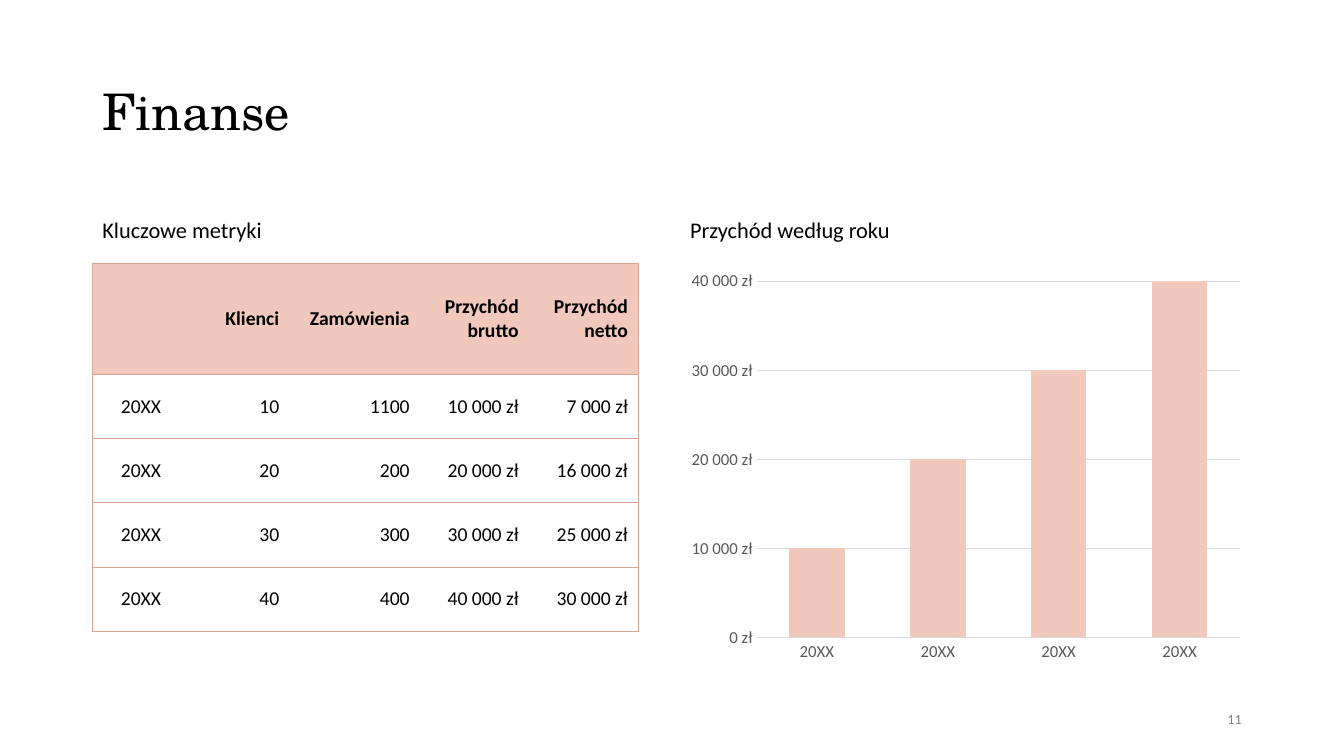
from dataclasses import dataclass

from lxml import etree
from pptx import Presentation
from pptx.chart.data import CategoryChartData
from pptx.dml.color import RGBColor
from pptx.enum.chart import XL_CHART_TYPE, XL_TICK_MARK
from pptx.enum.text import MSO_ANCHOR, PP_ALIGN
from pptx.oxml.ns import qn
from pptx.util import Cm, Pt

COLUMN = XL_CHART_TYPE.COLUMN_CLUSTERED
NO_TICK = XL_TICK_MARK.NONE
MIDDLE = MSO_ANCHOR.MIDDLE
LEFT, CENTER, RIGHT = PP_ALIGN.LEFT, PP_ALIGN.CENTER, PP_ALIGN.RIGHT
PLAIN_TABLE = "{2D5ABB26-0587-4C30-8999-92F81FD0307C}"


@dataclass(frozen=True)
class Theme:
    text: str = "000000"
    axis: str = "595959"
    muted: str = "808080"
    grid: str = "D9D9D9"
    accent: str = "F0C8BC"
    border: str = "D9A491"
    heading_font: str = "TeX Gyre Schola"
    body_font: str = "Calibri"
    title_size: int = 36
    subtitle_size: int = 16
    table_size: int = 14
    axis_size: int = 12
    number_size: int = 10
    border_width: float = 0.5
    grid_width: float = 0.75


THEME = Theme()
HEADERS = ["", "Klienci", "Zamówienia", "Przychód brutto", "Przychód netto"]
METRICS = [
    ("20XX", 10, 1100, 10000, 7000),
    ("20XX", 20, 200, 20000, 16000),
    ("20XX", 30, 300, 30000, 25000),
    ("20XX", 40, 400, 40000, 30000),
]


def rgb(value):
    return RGBColor.from_string(value)


def zloty(amount):
    return f"{amount:,} zł".replace(",", " ")


def style_font(font, size, color, name=THEME.body_font, bold=False):
    font.name = name
    font.size = Pt(size)
    font.bold = bold
    font.color.rgb = rgb(color)


def add_text(slide, box, text, size, color=THEME.text,
             name=THEME.body_font, align=LEFT):
    tf = slide.shapes.add_textbox(*map(Cm, box)).text_frame
    tf.word_wrap = True
    tf.vertical_anchor = MIDDLE
    p = tf.paragraphs[0]
    p.alignment = align
    p.line_spacing = 0.9
    r = p.add_run()
    r.text = text
    style_font(r.font, size, color, name)


def set_borders(cell, visible):
    tc_pr = cell._tc.get_or_add_tcPr()
    for i, side in enumerate("LRTB"):
        ln = etree.Element(qn(f"a:ln{side}"), w=str(Pt(THEME.border_width)))
        if side in visible:
            fill = etree.SubElement(ln, qn("a:solidFill"))
            etree.SubElement(fill, qn("a:srgbClr"), val=THEME.border)
        else:
            etree.SubElement(ln, qn("a:noFill"))
        tc_pr.insert(i, ln)


def fill_cell(cell, text, header, first, last):
    if header:
        cell.fill.solid()
        cell.fill.fore_color.rgb = rgb(THEME.accent)
    else:
        cell.fill.background()
    set_borders(cell, "TB" + "L" * first + "R" * last)
    cell.vertical_anchor = MIDDLE
    p = cell.text_frame.paragraphs[0]
    p.alignment = CENTER if first else RIGHT
    if text:
        r = p.add_run()
        r.text = text
        style_font(r.font, THEME.table_size, THEME.text, bold=header)
    else:
        style_font(p.font, THEME.table_size, THEME.text)


def add_metrics_table(slide, box):
    rows = [HEADERS] + [
        [year, str(clients), str(orders), zloty(gross), zloty(net)]
        for year, clients, orders, gross, net in METRICS
    ]
    width, height = box[2:]
    header_height = 2.8
    row_height = (height - header_height) / len(METRICS)
    shares = [0.178, 0.183, 0.239, 0.2, 0.2]
    table = slide.shapes.add_table(len(rows), len(HEADERS), *map(Cm, box)).table
    table._tbl.tblPr.find(qn("a:tableStyleId")).text = PLAIN_TABLE
    table.horz_banding = False
    for column, share in zip(table.columns, shares):
        column.width = Cm(width * share)
    for i, row in enumerate(rows):
        table.rows[i].height = Cm(row_height if i else header_height)
        for j, text in enumerate(row):
            fill_cell(table.cell(i, j), text, i == 0, j == 0,
                      j == len(row) - 1)


def add_revenue_chart(slide, box):
    data = CategoryChartData()
    data.categories = [row[0] for row in METRICS]
    data.add_series("Series 1", [row[3] for row in METRICS])
    chart = slide.shapes.add_chart(COLUMN, *map(Cm, box), data).chart
    chart.has_legend = False
    chart.has_title = False
    style_font(chart.font, THEME.axis_size, THEME.axis)

    plot = chart.plots[0]
    plot.gap_width = 118
    plot.overlap = -3
    plot.vary_by_categories = False
    bars = plot.series[0].format
    bars.fill.solid()
    bars.fill.fore_color.rgb = rgb(THEME.accent)

    years, amounts = chart.category_axis, chart.value_axis
    for axis in (years, amounts):
        axis.major_tick_mark = axis.minor_tick_mark = NO_TICK
        style_font(axis.tick_labels.font, THEME.axis_size, THEME.axis)
    amounts.minimum_scale = 0
    amounts.maximum_scale = 40000
    amounts.major_unit = 10000
    amounts.tick_labels.number_format = '#\\ ##0\\ "zł"'
    amounts.tick_labels.number_format_is_linked = False
    amounts.format.line.fill.background()
    for line in (years.format.line, amounts.major_gridlines.format.line):
        line.color.rgb = rgb(THEME.grid)
        line.width = Pt(THEME.grid_width)


def add_panel(slide, box, subtitle, add_content, content_size):
    left, top, width, _ = box
    subtitle_height = 1.52
    add_text(slide, (left, top, width, subtitle_height), subtitle,
             THEME.subtitle_size)
    add_content(slide, (left, top + subtitle_height + 0.05, *content_size))


def add_finance_slide(prs, box):
    slide = prs.slides.add_slide(prs.slide_layouts[6])
    left, top, width, height = box
    panel_top, panel_width = top + 3.08, 14.4
    panel_height = height - 3.08
    right = left + width
    add_text(slide, (left, top, width, 1.78), "Finanse", THEME.title_size,
             name=THEME.heading_font)
    add_panel(slide, (left, panel_top, panel_width, panel_height),
              "Kluczowe metryki", add_metrics_table, (13.75, 9.28))
    add_panel(slide, (right - panel_width, panel_top, panel_width, panel_height),
              "Przychód według roku", add_revenue_chart, (panel_width, 10.24))
    add_text(slide, (right - 7.62, top + height + 0.78, 7.62, 1.01), "11",
             THEME.number_size, THEME.muted, align=RIGHT)


def main():
    prs = Presentation()
    prs.slide_width, prs.slide_height = Cm(33.87), Cm(19.05)
    add_finance_slide(prs, (2.33, 1.98, 29.21, 14.89))
    prs.save("out.pptx")


if __name__ == "__main__":
    main()
